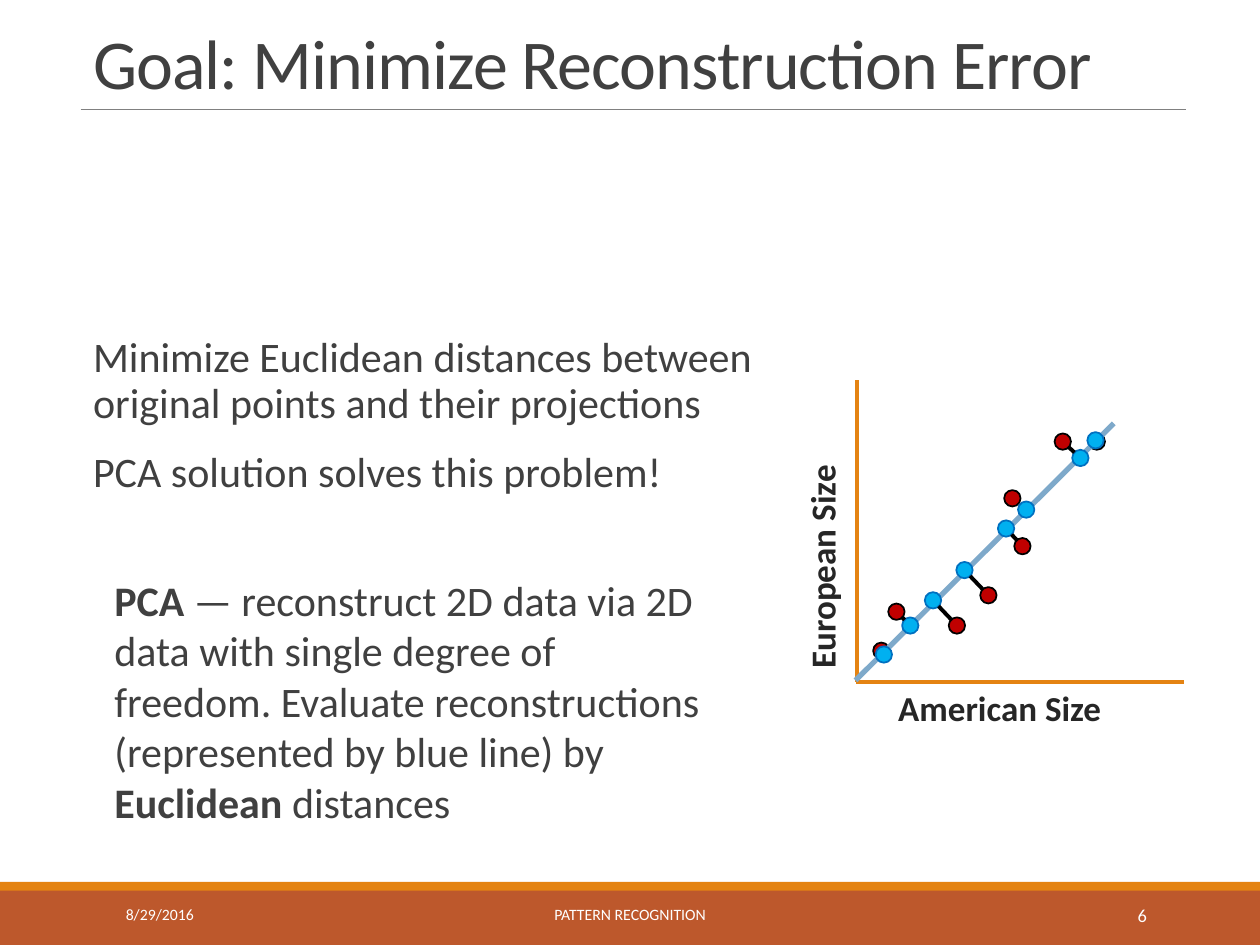
from dataclasses import dataclass
from math import hypot

from lxml import etree
from pptx import Presentation
from pptx import util as u
from pptx.dml.color import RGBColor
from pptx.enum import shapes, text
from pptx.oxml import ns

COLUMNS, ROWS = 100, 75  # square grid cells, a tenth of an inch each
CELL = u.Inches(10) // COLUMNS


@dataclass(frozen=True)
class Theme:
    font: str = "Calibri"
    ink: str = "404040"
    label: str = "262626"
    white: str = "FFFFFF"
    black: str = "000000"
    rule: str = "808080"
    orange: str = "E48312"
    rust: str = "BD582C"
    point: str = "C00000"
    projection: str = "00B0F0"
    projection_edge: str = "0070C0"
    fit: str = "7EA9CA"
    title_size: float = 40
    body_size: float = 24
    label_size: float = 20
    number_size: float = 10.5
    footer_size: float = 9


THEME = Theme()


@dataclass(frozen=True)
class Box:
    left: float
    top: float
    width: float
    height: float

    def inner(self, left, top, width, height):
        return Box(self.left + left, self.top + top, width, height)

    def emu(self):
        return [cells(v) for v in (self.left, self.top, self.width, self.height)]


def cells(count):
    return round(count * CELL)


def add_solid(page, kind, box, fill, edge=None):
    shape = page.shapes.add_shape(kind, *box.emu())
    shape.shadow.inherit = False
    shape.fill.solid()
    shape.fill.fore_color.rgb = RGBColor.from_string(fill)
    if edge:
        shape.line.color.rgb = RGBColor.from_string(edge)
        shape.line.width = u.Pt(1)
    else:
        shape.line.fill.background()


def add_line(page, start, end, color, width):
    ends = [cells(v) for v in (*start, *end)]
    line = page.shapes.add_connector(shapes.MSO_CONNECTOR.STRAIGHT, *ends)
    line.line.color.rgb = RGBColor.from_string(color)
    line.line.width = u.Pt(width)
    etree.SubElement(line._element.spPr, ns.qn("a:effectLst"))


def add_text(page, box, paragraphs, size, color, anchor=text.MSO_ANCHOR.TOP,
             align=text.PP_ALIGN.LEFT, spacing=None, before=0):
    """Write paragraphs, each a list of (words, bold) runs."""
    shape = page.shapes.add_textbox(*box.emu())
    frame = shape.text_frame
    frame.word_wrap = True
    frame.vertical_anchor = anchor
    for index, runs in enumerate(paragraphs):
        para = frame.add_paragraph() if index else frame.paragraphs[0]
        para.alignment = align
        if spacing:
            para.line_spacing = spacing
        if index:
            para.space_before = u.Pt(before)
        for words, bold in runs:
            span = para.add_run()
            span.text = words
            span.font.name = THEME.font
            span.font.size = u.Pt(size)
            span.font.bold = bold
            span.font.color.rgb = RGBColor.from_string(color)
    return shape


def add_title(page, box):
    bottom = box.top + box.height
    add_line(page, (box.left, bottom), (box.left + box.width, bottom), THEME.rule, 0.5)
    shape = add_text(page, box, [[("Goal: Minimize Reconstruction Error", False)]],
                     THEME.title_size, THEME.ink, text.MSO_ANCHOR.BOTTOM, spacing=0.85)
    span = shape.text_frame.paragraphs[0].runs[0]
    span.font._element.set("spc", "-50")


def add_body(page, box):
    goals = ["Minimize Euclidean distances between original points and their projections",
             "PCA solution solves this problem!"]
    shape = add_text(page, box, [[(goal, False)] for goal in goals],
                     THEME.body_size, THEME.ink, spacing=0.9, before=14)
    shape.text_frame.margin_top = cells(17.3)
    shape.text_frame.margin_right = 0

    explanation = [
        ("PCA", True),
        (" — reconstruct 2D data via 2D data with single degree of freedom. "
         "Evaluate reconstructions (represented by blue line) by ", False),
        ("Euclidean", True),
        (" distances", False),
    ]
    add_text(page, box.inner(1.7, 35.7, 50, 21.2), [explanation], THEME.body_size, THEME.ink)


def add_plot(page, box):
    """Draw the scatter; its data are in cells right of and above the origin."""
    # (point, projection, whether the residual between them shows)
    pairs = [
        ((2.05, 2.45), (2.25, 2.15), False),
        ((3.25, 5.55), (4.35, 4.45), True),
        ((8.05, 4.45), (6.15, 6.45), True),
        ((10.55, 6.85), (8.65, 8.85), True),
        ((13.25, 10.75), (11.95, 12.15), True),
        ((12.45, 14.55), (13.55, 13.65), False),
        ((16.45, 19.05), (17.85, 17.75), True),
        ((19.15, 19.05), (19.05, 19.15), False),
    ]
    radius = 0.65

    def place(right, up):
        return box.left + right, box.top + box.height - up

    def add_dot(center, fill, edge):
        x, y = place(*center)
        dot = Box(x - radius, y - radius, 2 * radius, 2 * radius)
        add_solid(page, shapes.MSO_SHAPE.OVAL, dot, fill, edge)

    def add_residual(point, projection):
        (x1, y1), (x2, y2) = place(*point), place(*projection)
        share = radius / hypot(x2 - x1, y2 - y1)
        dx, dy = (x2 - x1) * share, (y2 - y1) * share
        add_line(page, (x1 + dx, y1 + dy), (x2 - dx, y2 - dy), THEME.black, 2.25)

    add_line(page, place(0.1, box.height), place(0.1, 0), THEME.orange, 2.25)
    add_line(page, place(0, 0), place(box.width, 0), THEME.orange, 2.25)
    for words, left, top, turn in (("American Size", 2.4, box.height - 0.1, 0),
                                   ("European Size", -13.4, 10.9, 270)):
        label = add_text(page, box.inner(left, top, 21.5, 4.4), [[(words, True)]],
                         THEME.label_size, THEME.label)
        label.rotation = turn

    for point, _, _ in pairs:
        add_dot(point, THEME.point, THEME.black)
    add_line(page, place(20.5, 20.5), place(0, 0.1), THEME.fit, 3)
    for _, projection, _ in reversed(pairs):
        add_dot(projection, THEME.projection, THEME.projection_edge)
    for point, projection, shown in pairs:
        if shown:
            add_residual(point, projection)


def add_footer(page, box):
    band = 0.7
    add_solid(page, shapes.MSO_SHAPE.RECTANGLE,
              box.inner(0, 0.6, box.width, box.height - 0.6), THEME.rust)
    add_solid(page, shapes.MSO_SHAPE.RECTANGLE, box.inner(0, 0, box.width, band), THEME.orange)
    align = text.PP_ALIGN
    for words, left, width, size, side in (
            ("8/29/2016", 9, 20.3, THEME.footer_size, align.LEFT),
            ("PATTERN RECOGNITION", 30.2, 39.6, THEME.footer_size, align.CENTER),
            ("6", 81.2, 10.8, THEME.number_size, align.RIGHT)):
        add_text(page, box.inner(left, 0.6, width, 4), [[(words, False)]], size,
                 THEME.white, text.MSO_ANCHOR.MIDDLE, side)


def main():
    deck = Presentation()
    deck.slide_width, deck.slide_height = cells(COLUMNS), cells(ROWS)
    page = deck.slides.add_slide(deck.slide_layouts[6])
    add_footer(page, Box(0, 70, COLUMNS, 5))
    add_title(page, Box(6.4, 1.3, 87.7, 7.4))
    add_body(page, Box(6.4, 9.4, 56.7, 59.5))
    add_plot(page, Box(67.9, 30.2, 26.1, 23.9))
    deck.save("out.pptx")


if __name__ == "__main__":
    main()
